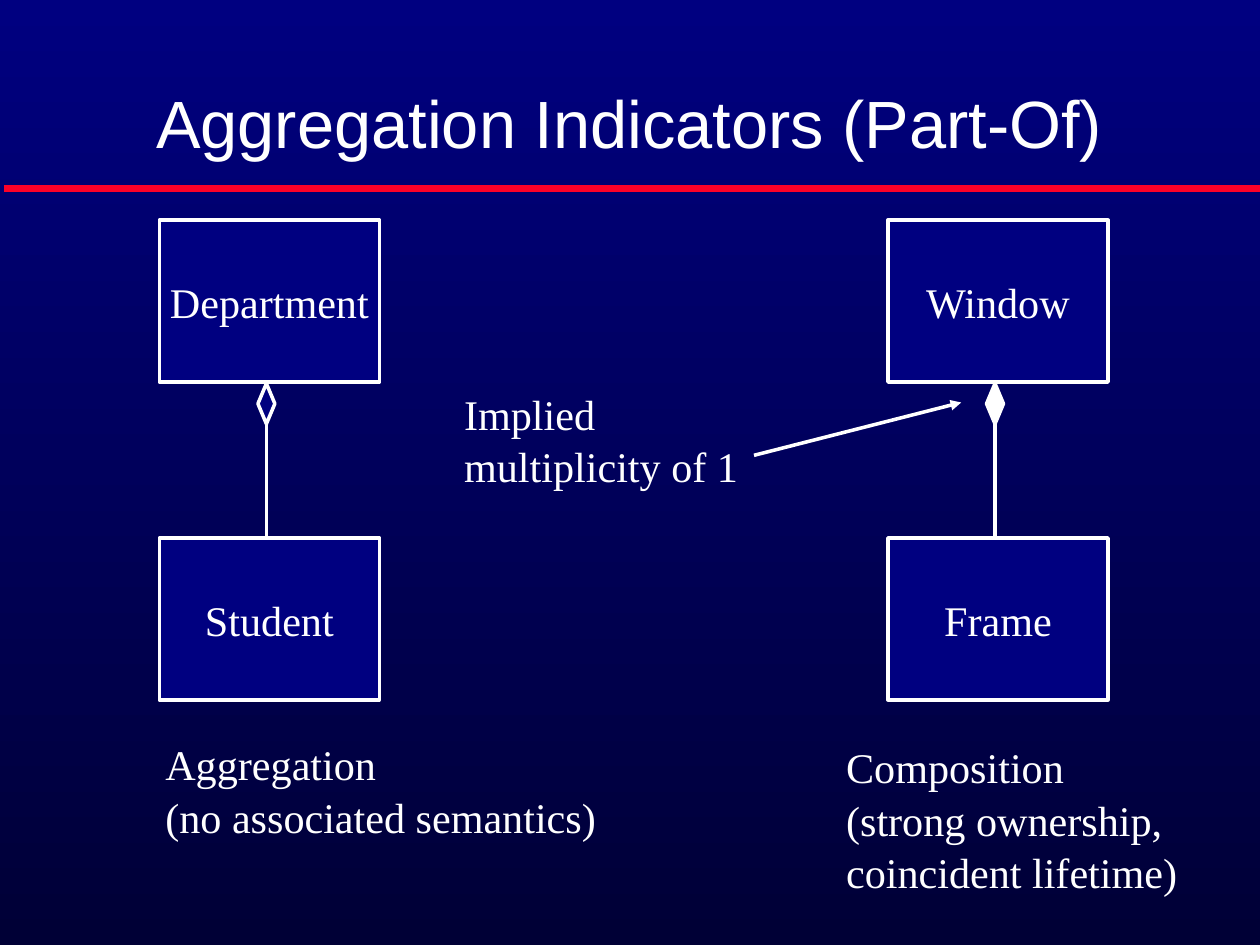
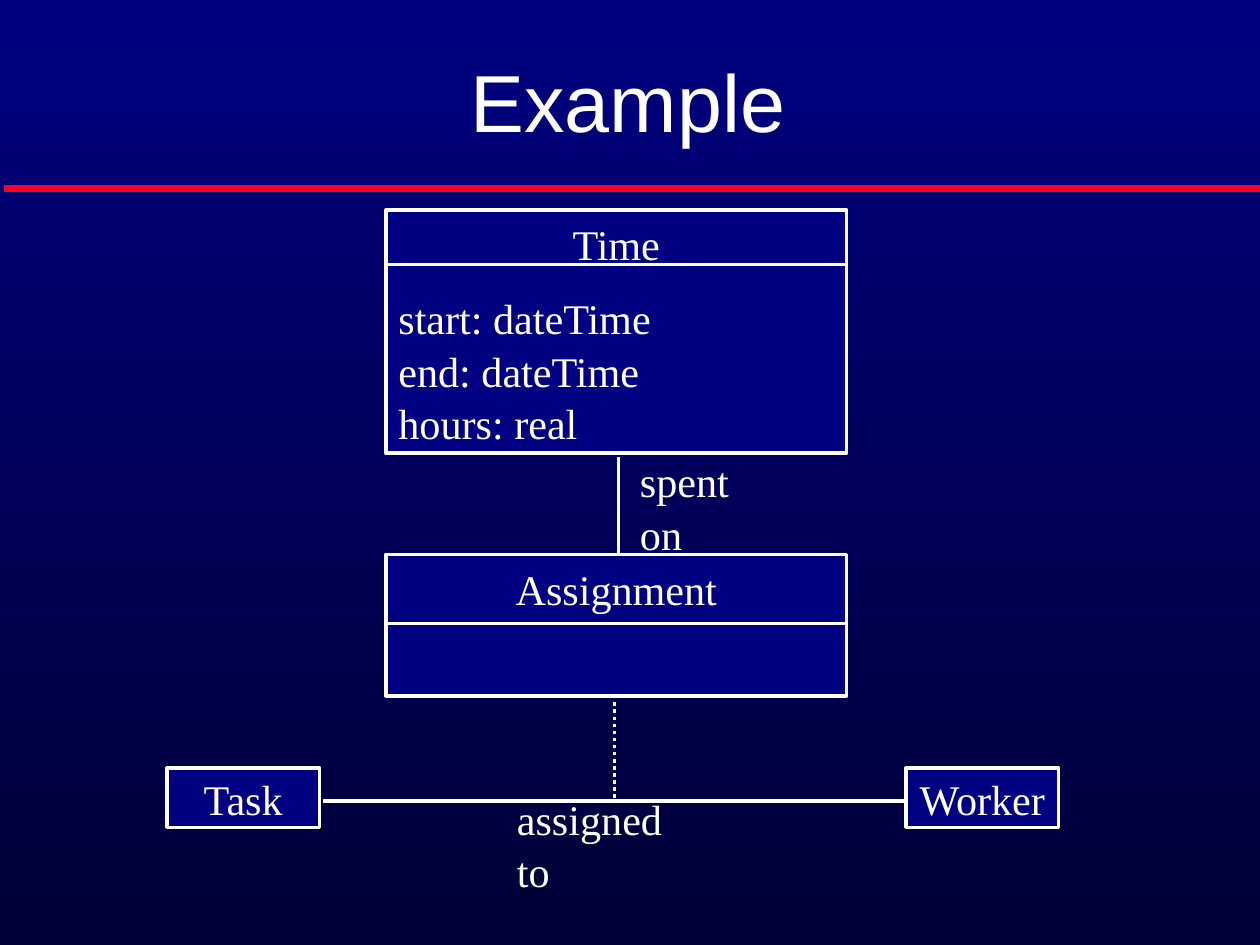
from lxml import etree
from pptx import Presentation
from pptx import util as u
from pptx.dml import color
from pptx.enum import dml, shapes, text
from pptx.oxml import ns

COLOURS = {
    "navy": "000080",
    "night": "000036",
    "red": "FC0128",
    "white": "FFFFFF",
}
WIDTH, HEIGHT = 25.3, 18.97
CENTRE, LEFT = text.PP_ALIGN.CENTER, text.PP_ALIGN.LEFT
TOP, MIDDLE, BOTTOM = (
    text.MSO_ANCHOR.TOP, text.MSO_ANCHOR.MIDDLE, text.MSO_ANCHOR.BOTTOM)


def rgb(name):
    return color.RGBColor.from_string(COLOURS[name])


def set_all(target, values):
    for name, value in values.items():
        setattr(target, name, value)


class Deck:
    """Holds the shared style and the slide being drawn."""

    body_font = {"name": "Times New Roman", "size": u.Pt(24)}

    def __init__(self):
        self.presentation = Presentation()
        set_all(self.presentation, {
            "slide_width": u.Cm(WIDTH), "slide_height": u.Cm(HEIGHT)})
        self.slide = None
        # Background shared through the master
        fill = self.presentation.slide_master.background.fill
        fill.gradient()
        fill.gradient_angle = 270
        for stop, name in zip(fill.gradient_stops, ("navy", "night")):
            stop.color.rgb = rgb(name)

    def new_slide(self, title, box, size):
        layout = self.presentation.slide_layouts.get_by_name("Title Only")
        self.slide = self.presentation.slides.add_slide(layout)
        self.line((0.08, 3.79), (WIDTH, 3.79), colour="red", width=4)
        shape = self.slide.shapes.title
        names = ("left", "top", "width", "height")
        set_all(shape, dict(zip(names, map(u.Cm, box))))
        self.fill_text(shape, [(title, CENTRE)], BOTTOM,
                       font={"name": "Arial", "size": u.Pt(size)},
                       spacing=1.0)

    def fill_text(self, shape, lines, anchor=TOP, wrap=True, gap=0,
                  font=body_font, spacing=1.04):
        frame = shape.text_frame
        set_all(frame, {
            "auto_size": text.MSO_AUTO_SIZE.NONE, "word_wrap": wrap,
            "vertical_anchor": anchor,
            "margin_left": u.Cm(0.25), "margin_right": u.Cm(0.25),
            "margin_top": u.Cm(0.13), "margin_bottom": u.Cm(0.13)})
        for index, (content, alignment) in enumerate(lines):
            paragraph = frame.add_paragraph() if index else frame.paragraphs[0]
            paragraph.text = content
            set_all(paragraph, {
                "alignment": alignment, "line_spacing": spacing,
                "space_before": u.Pt(gap if index else 0)})
            set_all(paragraph.font, font)
            paragraph.font.color.rgb = rgb("white")

    def label(self, box, *lines):
        shape = self.slide.shapes.add_textbox(*map(u.Cm, box))
        self.fill_text(shape, [(line, LEFT) for line in lines])

    def shape(self, kind, box, fill="navy", parent=None):
        target = parent or self.slide
        shape = target.shapes.add_shape(kind, *map(u.Cm, box))
        shape.shadow.inherit = False
        shape.fill.solid()
        shape.fill.fore_color.rgb = rgb(fill)
        shape.line.color.rgb = rgb("white")
        shape.line.width = u.Pt(2)
        return shape

    def class_box(self, name, box):
        shape = self.shape(shapes.MSO_SHAPE.RECTANGLE, box)
        self.fill_text(shape, [(name, CENTRE)], MIDDLE, wrap=False)

    def divided_class(self, name, box, divider, attributes=None):
        group = self.slide.shapes.add_group_shape()
        shape = self.shape(shapes.MSO_SHAPE.RECTANGLE, box, parent=group)
        lines = [(name, CENTRE)]
        if attributes:
            lines.append(("\v".join(attributes), LEFT))
        self.fill_text(shape, lines, gap=12)
        left, _, width, _ = box
        self.line((left, divider), (left + width, divider), parent=group)

    def line(self, start, end, colour="white", width=2, dash=None,
             arrow=False, parent=None):
        connector = (parent or self.slide).shapes.add_connector(
            shapes.MSO_CONNECTOR.STRAIGHT, *map(u.Cm, start + end))
        connector.line.color.rgb = rgb(colour)
        connector.line.width = u.Pt(width)
        if dash:
            connector.line.dash_style = dash
        properties = connector._element.spPr
        if arrow:
            etree.SubElement(properties.find(ns.qn("a:ln")),
                             ns.qn("a:tailEnd"), type="triangle")
        etree.SubElement(properties, ns.qn("a:effectLst"))


def aggregation_slide(deck):
    deck.new_slide("Aggregation Indicators (Part-Of)",
                   (1.85, 0.84, 21.59, 2.54), 38)
    # Whole above part, joined by a diamond and a line
    pairs = ((3.2, "Department", "Student", "navy"),
             (17.83, "Window", "Frame", "white"))
    for left, whole, part, diamond in pairs:
        for name, top in ((whole, 4.42), (part, 10.8)):
            deck.class_box(name, (left, top, 4.42, 3.25))
        centre = left + 2.15
        deck.shape(shapes.MSO_SHAPE.DIAMOND,
                   (centre - 0.17, 7.7, 0.34, 0.81), diamond)
        deck.line((centre, 8.48), (centre, 10.76))
    # Explanations
    deck.label((9.07, 7.62, 6.71, 2.29), "Implied multiplicity of 1")
    deck.label((16.74, 14.71, 7.34, 3.3), "Composition",
               "(strong ownership,\vcoincident lifetime)")
    deck.label((3.07, 14.66, 9.35, 2.29), "Aggregation",
               "(no associated semantics)")
    deck.line((15.14, 9.14), (19.3, 8.08), arrow=True)


def example_slide(deck):
    deck.new_slide("Example", (1.85, 0, 21.51, 3.12), 46)
    # Classes
    deck.divided_class("Time", (7.75, 4.22, 9.25, 4.88), 5.31,
                       ("start: dateTime", "end: dateTime", "hours: real"))
    deck.divided_class("Assignment", (7.75, 11.13, 9.25, 2.84), 12.52)
    for name, left in (("Task", 3.35), ("Worker", 18.19)):
        deck.class_box(name, (left, 15.42, 3.07, 1.19))
    # Associations
    deck.line((6.48, 16.08), (18.24, 16.08))
    deck.label((10.13, 15.75, 3.9, 2.29), "assigned to")
    deck.line((12.34, 14.1), (12.34, 16.03),
              dash=dml.MSO_LINE.ROUND_DOT)
    deck.line((12.42, 9.17), (12.42, 11.13))
    deck.label((12.6, 8.97, 3, 2.29), "spent on")


def main():
    deck = Deck()
    aggregation_slide(deck)
    example_slide(deck)
    deck.presentation.save("out.pptx")


if __name__ == "__main__":
    main()
